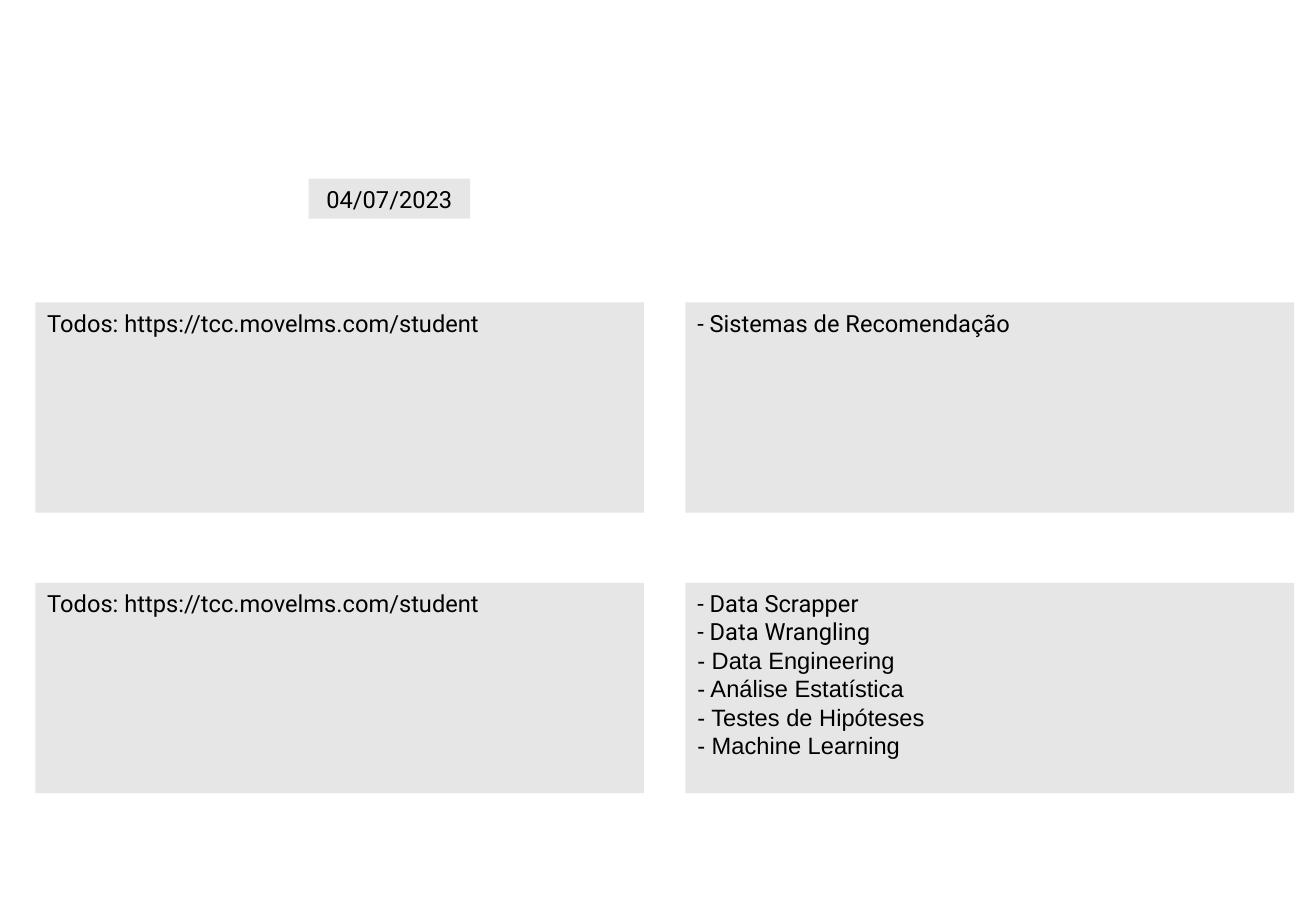
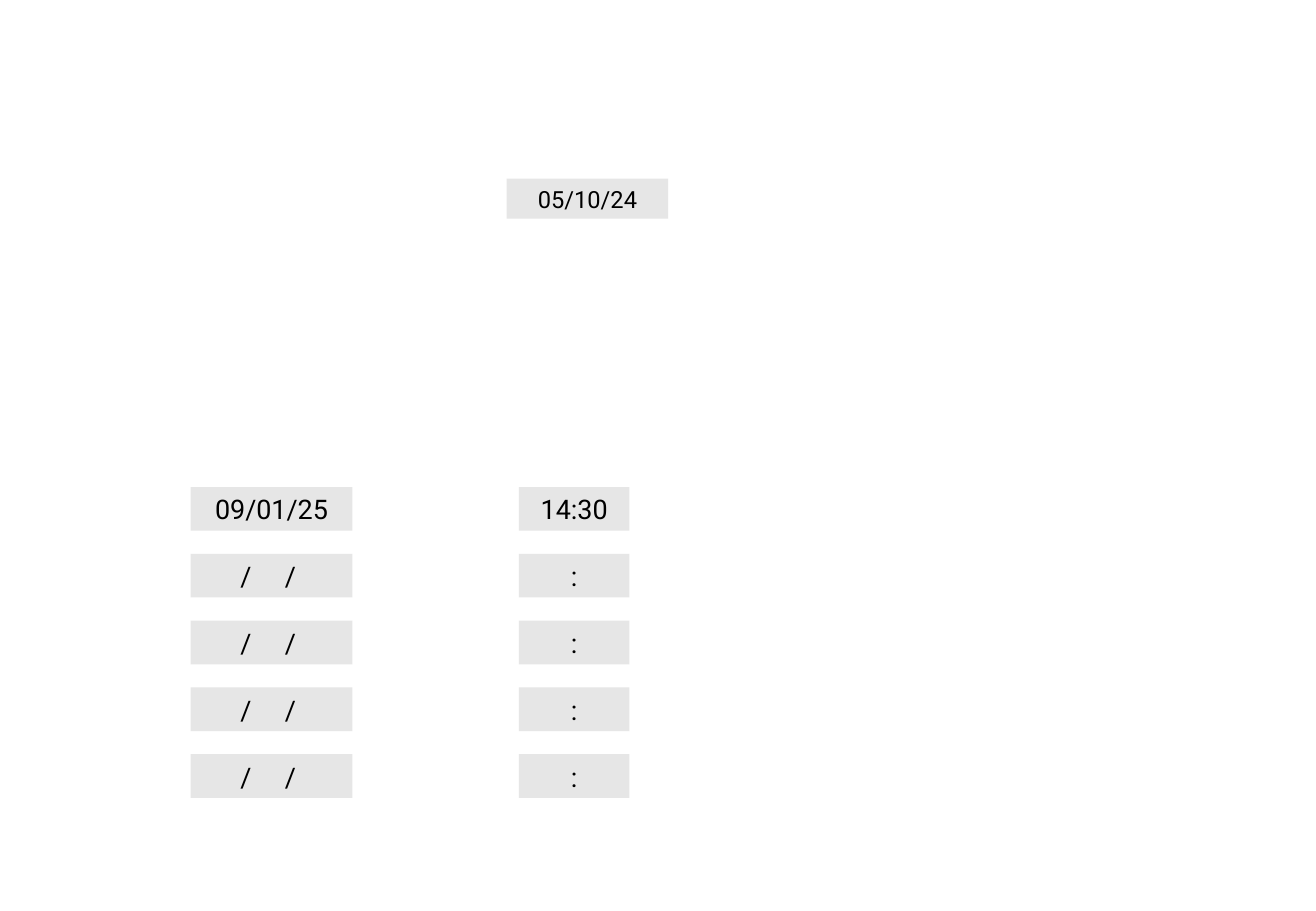
"""Build two form slides: study topics and a meeting schedule."""
from dataclasses import dataclass

from pptx import Presentation
from pptx.dml.color import RGBColor
from pptx.enum.shapes import MSO_SHAPE
from pptx.enum.text import MSO_ANCHOR, PP_ALIGN
from pptx.util import Inches, Pt

RECTANGLE = MSO_SHAPE.RECTANGLE
TOP = MSO_ANCHOR.TOP
LEFT, CENTER = PP_ALIGN.LEFT, PP_ALIGN.CENTER


@dataclass(frozen=True)
class Theme:
    """Colours, fonts and type sizes shared by the slides."""
    field: RGBColor = RGBColor(0xE6, 0xE6, 0xE6)
    text: RGBColor = RGBColor(0x00, 0x00, 0x00)
    main_font: str = "Roboto"
    alternate_font: str = "Arial"
    body_size: int = 14
    schedule_size: int = 16


THEME = Theme()
DATE_WIDTH, DATE_HEIGHT, DATE_TOP = 1.33, 0.33, 1.47
PANEL_WIDTH, PANEL_HEIGHT = 5.01, 1.73
PANEL_COLUMNS, PANEL_ROWS = (0.29, 5.64), (2.49, 4.8)
SCHEDULE_TOP, SCHEDULE_PITCH, SCHEDULE_HEIGHT = 4.01, 0.55, 0.36
DAY_LEFT, TIME_LEFT, TIME_WIDTH = 1.57, 4.27, 0.91
BLANK_DATE_GAP = 15.84

STUDENT_PORTAL = "Todos: https://tcc.movelms.com/student"
DATA_TOPICS = ("- Data Scrapper", "- Data Wrangling")
ANALYSIS_TOPICS = ("- Data Engineering", "- Análise Estatística",
                   "- Testes de Hipóteses", "- Machine Learning")
MEETINGS = [("09/01/25", "14:30")] + [(None, ":")] * 4


def add_field(slide, left, top, width, height):
    """Add an empty grey field and return its text frame."""
    field = slide.shapes.add_shape(
        RECTANGLE, Inches(left), Inches(top), Inches(width), Inches(height))
    field.shadow.inherit = False
    field.fill.solid()
    field.fill.fore_color.rgb = THEME.field
    field.line.fill.background()
    frame = field.text_frame
    frame.word_wrap = True
    frame.vertical_anchor = TOP
    return frame


def add_run(paragraph, text, size, font=THEME.main_font, spacing=0):
    """Add a styled run, optionally with extra letter spacing in points."""
    run = paragraph.add_run()
    run.text = text
    run.font.name = font
    run.font.size = Pt(size)
    run.font.color.rgb = THEME.text
    if spacing:
        run._r.get_or_add_rPr().set("spc", str(round(spacing * 100)))


def add_entry(slide, text, left, top, width, height, size):
    """Add a field with one centred entry, or an unfilled date."""
    paragraph = add_field(slide, left, top, width, height).paragraphs[0]
    paragraph.alignment = CENTER
    if text is not None:
        add_run(paragraph, text, size)
        return
    add_run(paragraph, "/", size)
    add_run(paragraph, " ", size, spacing=BLANK_DATE_GAP)
    add_run(paragraph, "/ ", size)


def add_date(slide, text, left):
    """Add the date field at the head of a slide."""
    add_entry(slide, text, left, DATE_TOP, DATE_WIDTH, DATE_HEIGHT,
              THEME.body_size)


def add_panel(slide, column, row, lines, alternate_lines=()):
    """Add a panel listing lines in the main, then the alternate font."""
    frame = add_field(slide, PANEL_COLUMNS[column], PANEL_ROWS[row],
                      PANEL_WIDTH, PANEL_HEIGHT)
    styled = [(line, THEME.main_font) for line in lines]
    styled += [(line, THEME.alternate_font) for line in alternate_lines]
    for index, (line, font) in enumerate(styled):
        paragraph = frame.add_paragraph() if index else frame.paragraphs[0]
        paragraph.alignment = LEFT
        add_run(paragraph, line, THEME.body_size, font)


def build_topics(slide):
    """Build the slide with the portal and the study topics."""
    add_date(slide, "04/07/2023", 2.54)
    for row in range(len(PANEL_ROWS)):
        add_panel(slide, 0, row, [STUDENT_PORTAL])
    add_panel(slide, 1, 0, ["- Sistemas de Recomendação"])
    add_panel(slide, 1, 1, DATA_TOPICS, ANALYSIS_TOPICS)


def build_schedule(slide):
    """Build the slide with the meeting days and times."""
    for row, (day, time) in enumerate(MEETINGS):
        top = SCHEDULE_TOP + row * SCHEDULE_PITCH
        add_entry(slide, day, DAY_LEFT, top, DATE_WIDTH, SCHEDULE_HEIGHT,
                  THEME.schedule_size)
        add_entry(slide, time, TIME_LEFT, top, TIME_WIDTH, SCHEDULE_HEIGHT,
                  THEME.schedule_size)
    add_date(slide, "05/10/24", 4.17)


def main():
    """Create and save the presentation."""
    presentation = Presentation()
    presentation.slide_width = Inches(10.83)
    presentation.slide_height = Inches(7.5)
    blank = presentation.slide_layouts[6]
    for build in (build_topics, build_schedule):
        build(presentation.slides.add_slide(blank))
    presentation.save("out.pptx")


if __name__ == "__main__":
    main()
